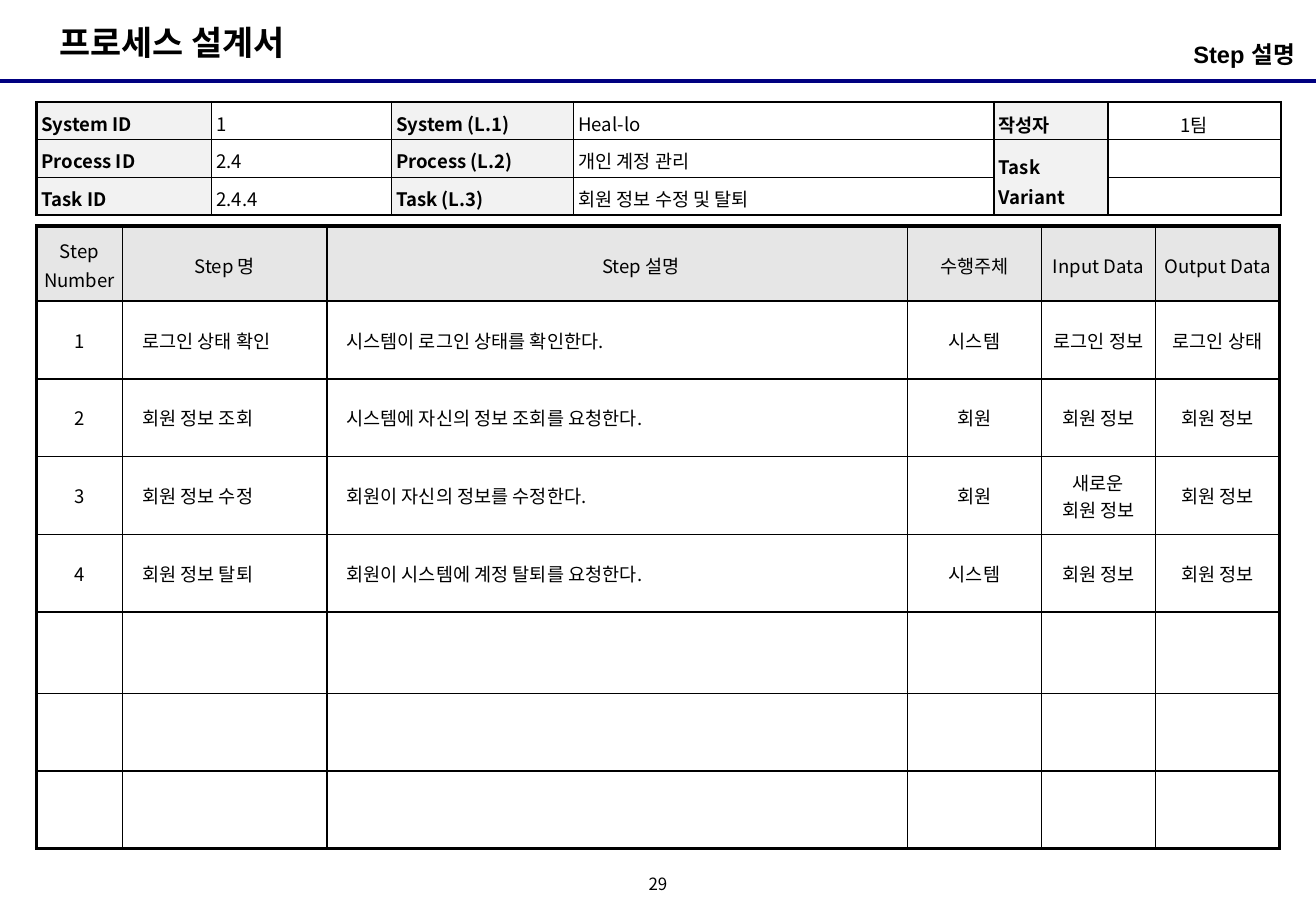
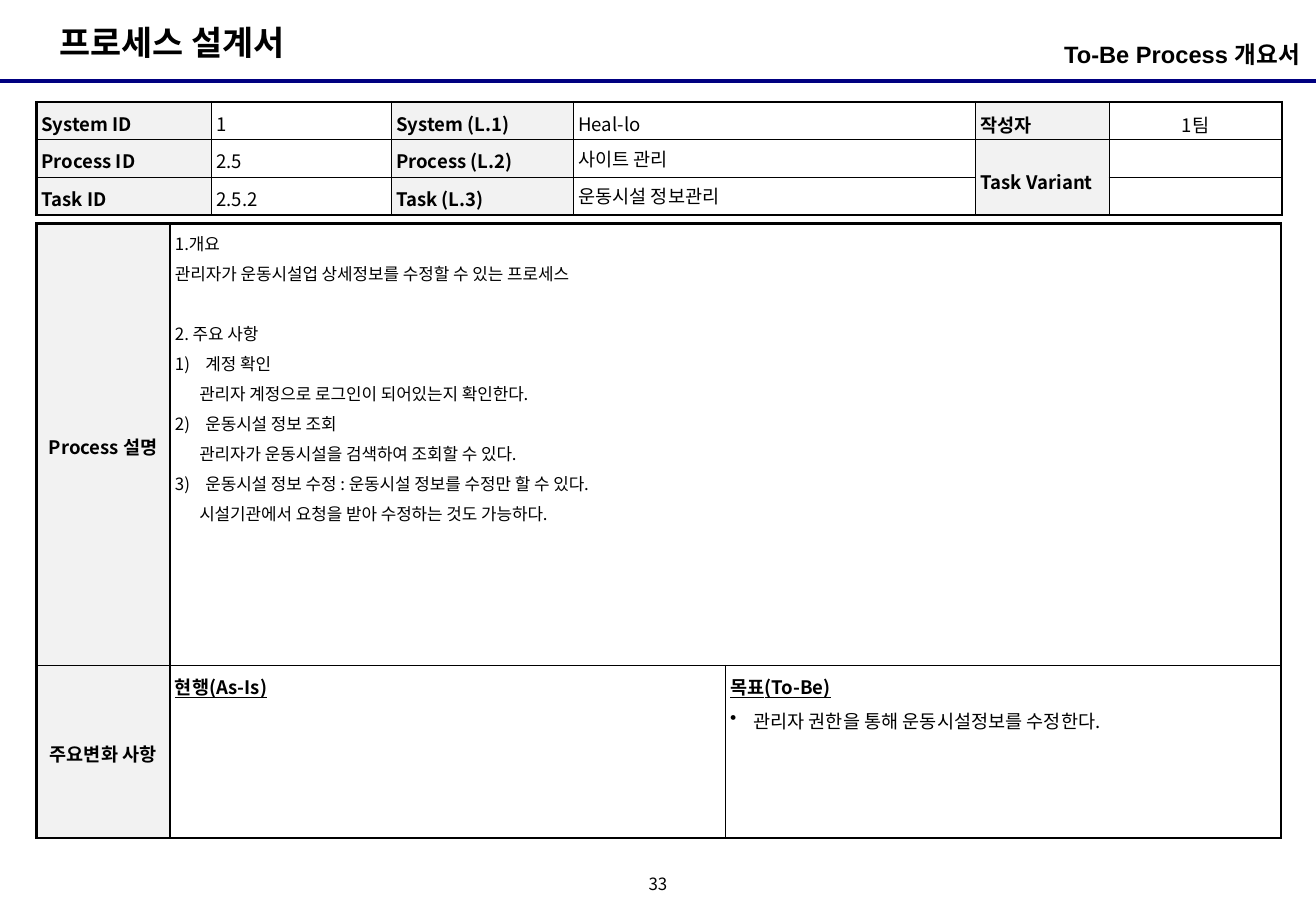
"""Build the process design sheets: step list and to-be overview."""
from dataclasses import dataclass

from lxml import etree
from pptx import Presentation
from pptx.dml.color import RGBColor
from pptx.enum.shapes import MSO_CONNECTOR
from pptx.enum.text import MSO_ANCHOR, MSO_AUTO_SIZE, PP_ALIGN
from pptx.oxml.ns import qn
from pptx.slide import Slide
from pptx.table import Table
from pptx.text.text import TextFrame
from pptx.util import Pt

PX = 9144
WIDE, HIGH = 1083, 750
TOP, MID = MSO_ANCHOR.TOP, MSO_ANCHOR.MIDDLE
LEFT, MIDST, RIGHT = PP_ALIGN.LEFT, PP_ALIGN.CENTER, PP_ALIGN.RIGHT
GROW = MSO_AUTO_SIZE.SHAPE_TO_FIT_TEXT
LINE = MSO_CONNECTOR.STRAIGHT
FONT = "Noto Sans CJK KR"
COLOR = {"ink": "000000", "rule": "000080", "label": "F2F2F2",
         "head": "E6E6E6", "white": "FFFFFF"}


@dataclass(frozen=True)
class Para:
    text: str
    size: int = 11
    bold: bool = False
    under: bool = False
    align: PP_ALIGN = LEFT
    left: int = 0
    hang: int = 0
    lead: float = 1.1
    above: float = 1.1
    below: float = 1.1
    start: int = 0
    dot: str = ""
    font: str = FONT


@dataclass(frozen=True)
class Cell:
    paras: tuple[Para, ...] = ()
    fill: str = "white"
    anchor: MSO_ANCHOR = MID


@dataclass(frozen=True)
class Grid:
    top: int
    cols: tuple[int, ...]
    rows: tuple[int, ...]
    cells: list[list[Cell]]
    edge: float
    side: int = 4
    base: int = 4
    merge: tuple[int, int, int, int] | None = None


@dataclass(frozen=True)
class Form:
    codes: tuple[str, str, str]
    names: tuple[str, str, str]
    cols: tuple[int, ...]
    loose: bool


def tint(code: str) -> RGBColor:
    return RGBColor.from_string(COLOR[code])


def write(frame: TextFrame, paras: tuple[Para, ...]) -> None:
    frame.text = "\n".join(item.text for item in paras)
    for part, item in zip(frame.paragraphs, paras):
        part.alignment = item.align
        part.line_spacing = item.lead
        part.space_before = Pt(item.above)
        part.space_after = Pt(item.below)
        props = part._p.get_or_add_pPr()
        props.set("marL", str(item.left * PX))
        props.set("indent", str(-item.hang * PX))
        if item.start:
            etree.SubElement(props, qn("a:buAutoNum"), type="arabicParenR",
                             startAt=str(item.start))
        elif item.dot:
            etree.SubElement(props, qn("a:buChar"), char=item.dot)
        else:
            etree.SubElement(props, qn("a:buNone"))
        for run in part.runs:
            font = run.font
            font.size, font.bold, font.underline = Pt(item.size), item.bold, item.under
            font.color.rgb = tint("ink")
            font.name = item.font
            etree.SubElement(run._r.get_or_add_rPr(), qn("a:ea"), typeface=FONT)


def label(slide: Slide, box: tuple[int, int, int, int], para: Para,
          pads: tuple[int, int] = (0, 0), wrap: bool = False,
          anchor: MSO_ANCHOR = TOP, grow: bool = False) -> None:
    frame = slide.shapes.add_textbox(*(n * PX for n in box)).text_frame
    frame.margin_left = frame.margin_right = pads[0] * PX
    frame.margin_top = frame.margin_bottom = pads[1] * PX
    frame.word_wrap = wrap
    frame.vertical_anchor = anchor
    if grow:
        frame.auto_size = GROW
    write(frame, (para,))


def border(table: Table, row: int, col: int, edge: float) -> None:
    cell = table.cell(row, col)
    tall = cell.span_height if cell.is_merge_origin else 1
    wide = cell.span_width if cell.is_merge_origin else 1
    outer = {"L": col == 0, "R": col + wide == len(table.columns),
             "T": row == 0, "B": row + tall == len(table.rows)}
    props = cell._tc.get_or_add_tcPr()
    for side, thick in outer.items():
        line = etree.SubElement(props, qn(f"a:ln{side}"),
                                w=str(Pt(edge if thick else 1)))
        fill = etree.SubElement(line, qn("a:solidFill"))
        etree.SubElement(fill, qn("a:srgbClr"), val=COLOR["ink"])


def draw(slide: Slide, grid: Grid) -> None:
    table = slide.shapes.add_table(
        len(grid.rows), len(grid.cols), 30 * PX, grid.top * PX,
        sum(grid.cols) * PX, sum(grid.rows) * PX).table
    table.first_row = table.horz_banding = False
    for col, wide in zip(table.columns, grid.cols):
        col.width = wide * PX
    for row, tall in zip(table.rows, grid.rows):
        row.height = tall * PX
    if grid.merge:
        r1, c1, r2, c2 = grid.merge
        table.cell(r1, c1).merge(table.cell(r2, c2))
    for r, line in enumerate(grid.cells):
        for c, item in enumerate(line):
            cell = table.cell(r, c)
            cell.margin_left = cell.margin_right = grid.side * PX
            cell.margin_top, cell.margin_bottom = 4 * PX, grid.base * PX
            cell.vertical_anchor = item.anchor
            if item.paras:
                write(cell.text_frame, item.paras)
            else:
                etree.SubElement(cell.text_frame.paragraphs[0]._p,
                                 qn("a:endParaRPr"), sz="1000")
            if not cell.is_spanned:
                border(table, r, c, grid.edge)
            cell.fill.solid()
            cell.fill.fore_color.rgb = tint(item.fill)


def tag(text: str, anchor: MSO_ANCHOR = TOP, align: PP_ALIGN = LEFT) -> Cell:
    return Cell((Para(text, bold=True, align=align),), "label", anchor)


def form(slide: Slide, data: Form) -> None:
    last = [[tag("작성자", MID), Cell((Para("1팀", align=MIDST),))],
            [tag("Task Variant", MID), Cell()], [Cell(), Cell()]]
    heads = (("System", 1), ("Process", 2), ("Task", 3))
    cells = []
    for (word, level), code, name, tail in zip(heads, data.codes, data.names, last):
        para = Para(name) if data.loose or level == 1 else Para(
            name, lead=1, above=0, below=0)
        cells.append([tag(f"{word} ID"), Cell((Para(code),), anchor=TOP),
                      tag(f"{word} (L.{level})"), Cell((para,), anchor=TOP), *tail])
    draw(slide, Grid(84, data.cols, (31, 31, 31), cells, 1.5, base=0,
                     merge=(1, 4, 2, 4)))


def sheet(deck: Presentation, topic: str, page: str, data: Form) -> Slide:
    slide = deck.slides.add_slide(deck.slide_layouts[6])
    rule = slide.shapes.add_connector(LINE, 0, 67 * PX, WIDE * PX, 67 * PX)
    rule.line.color.rgb = tint("rule")
    rule.line.width = Pt(2.25)
    etree.SubElement(rule._element.spPr, qn("a:effectLst"))
    label(slide, (39, 13, 226, 44),
          Para("프로세스 설계서", 20, True, lead=1, above=0, below=0), (10, 5), grow=True)
    label(slide, (525, 717, 33, 25),
          Para(page, 10, align=MIDST, lead=0.8, above=0, below=0), anchor=MID)
    label(slide, (739, 28, 331, 39),
          Para(topic, 14, True, align=RIGHT, lead=1, above=2.8, below=0, font="Arial"),
          (0, 5), wrap=True)
    form(slide, data)
    return slide


def steps(slide: Slide) -> None:
    heads = ("Step Number", "Step 명", "Step 설명", "수행주체", "Input Data", "Output Data")
    data = (
        ("1", "로그인 상태 확인", "시스템이 로그인 상태를 확인한다.", "시스템",
         "로그인 정보", "로그인 상태"),
        ("2", "회원 정보 조회", "시스템에 자신의 정보 조회를 요청한다.", "회원",
         "회원 정보", "회원 정보"),
        ("3", "회원 정보 수정", "회원이 자신의 정보를 수정한다.", "회원",
         "새로운\n회원 정보", "회원 정보"),
        ("4", "회원 정보 탈퇴", "회원이 시스템에 계정 탈퇴를 요청한다.", "시스템",
         "회원 정보", "회원 정보"),
    )
    cells = [[Cell((Para(text, align=MIDST, left=39 if c == 2 else 0, above=0),), "head")
              for c, text in enumerate(heads)]]
    for line in data:
        cells.append([])
        for c, text in enumerate(line):
            prose = c in (1, 2)
            cells[-1].append(Cell(tuple(
                Para(part, align=LEFT if prose else MIDST, left=10 if prose else 0,
                     lead=1, above=0, below=0) for part in text.split("\n"))))
    cells += [[Cell() for _ in heads] for _ in range(3)]
    draw(slide, Grid(186, (71, 168, 478, 110, 94, 102),
                     (62, 64, 64, 64, 64, 67, 64, 64), cells, 2.25, side=6))


def note(text: str, left: int = 0, start: int = 0, above: float = 1) -> Para:
    return Para(text, 10, left=left, hang=left if start else 0, start=start,
                above=above, below=1)


def outline(slide: Slide) -> None:
    story = (
        note("1.개요"),
        note("관리자가 운동시설업 상세정보를 수정할 수 있는 프로세스"),
        note("2. 주요 사항", above=19),
        note("계정 확인", 25, 1),
        note("관리자 계정으로 로그인이 되어있는지 확인한다.", 20),
        note("운동시설 정보 조회", 25, 2),
        note("관리자가 운동시설을 검색하여 조회할 수 있다.", 20),
        note("운동시설 정보 수정 : 운동시설 정보를 수정만 할 수 있다.", 25, 3),
        note("시설기관에서 요청을 받아 수정하는 것도 가능하다.", 20),
    )
    now, goal = (Para(text, bold=True, under=True)
                 for text in ("현행(As-Is)", "목표(To-Be)"))
    plan = Para("관리자 권한을 통해 운동시설정보를 수정한다.", left=19, hang=19, dot="•")
    cells = [
        [tag("Process 설명", MID, MIDST), Cell(story, anchor=TOP), Cell()],
        [tag("주요변화 사항", MID, MIDST), Cell((now,), anchor=TOP),
         Cell((goal, plan), anchor=TOP)],
    ]
    draw(slide, Grid(184, (110, 457, 457), (364, 142), cells, 1.5, merge=(0, 1, 0, 2)))


def main() -> None:
    deck = Presentation()
    deck.slide_width, deck.slide_height = WIDE * PX, HIGH * PX
    steps(sheet(deck, "Step 설명 ", "29", Form(
        ("1", "2.4", "2.4.4"), ("Heal-lo", "개인 계정 관리", "회원 정보 수정 및 탈퇴"),
        (144, 148, 150, 346, 94, 142), True)))
    outline(sheet(deck, "To-Be Process 개요서", "33", Form(
        ("1", "2.5", "2.5.2"), ("Heal-lo", "사이트 관리", "운동시설 정보관리"),
        (144, 148, 150, 331, 110, 142), False)))
    deck.save("out.pptx")


if __name__ == "__main__":
    main()
